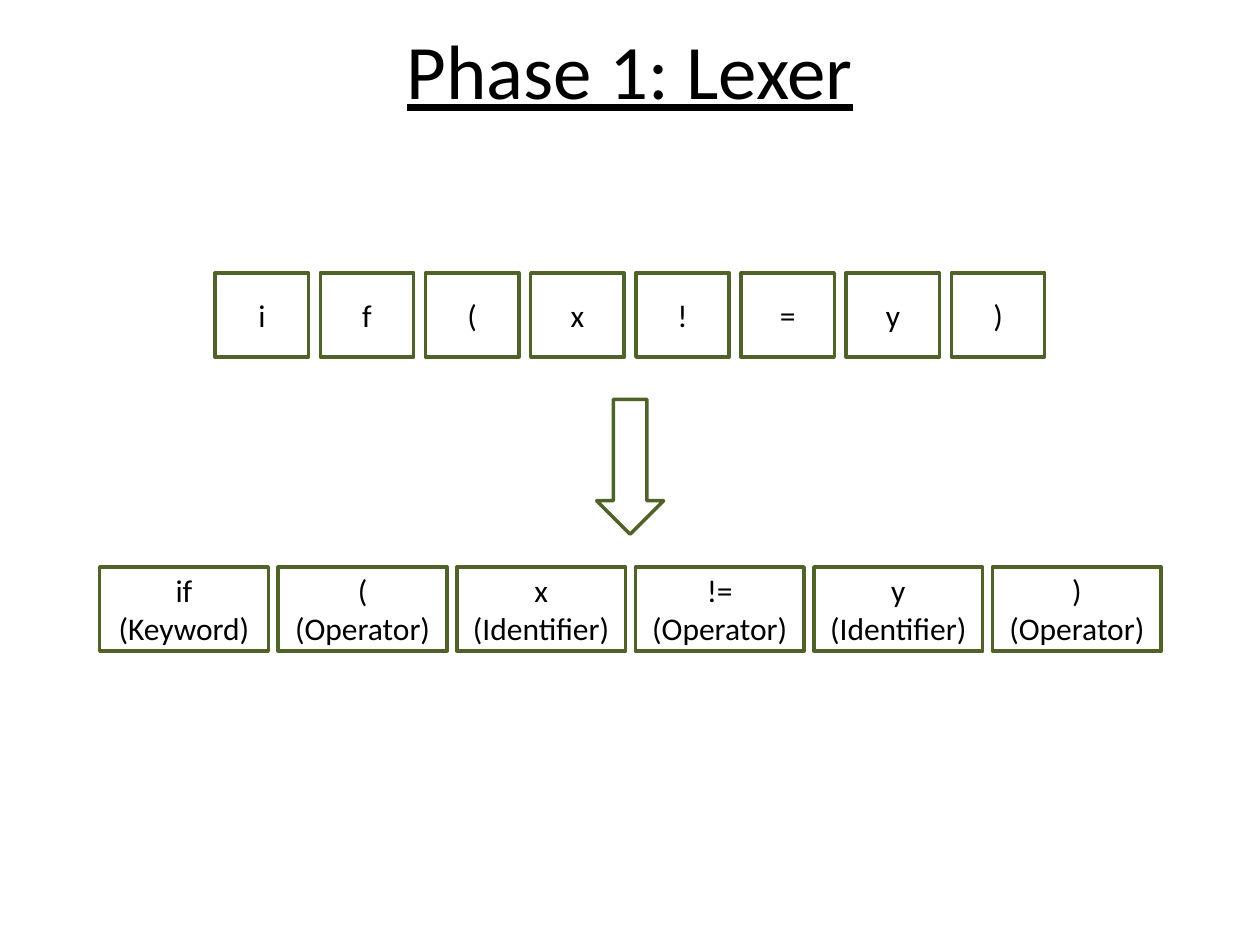
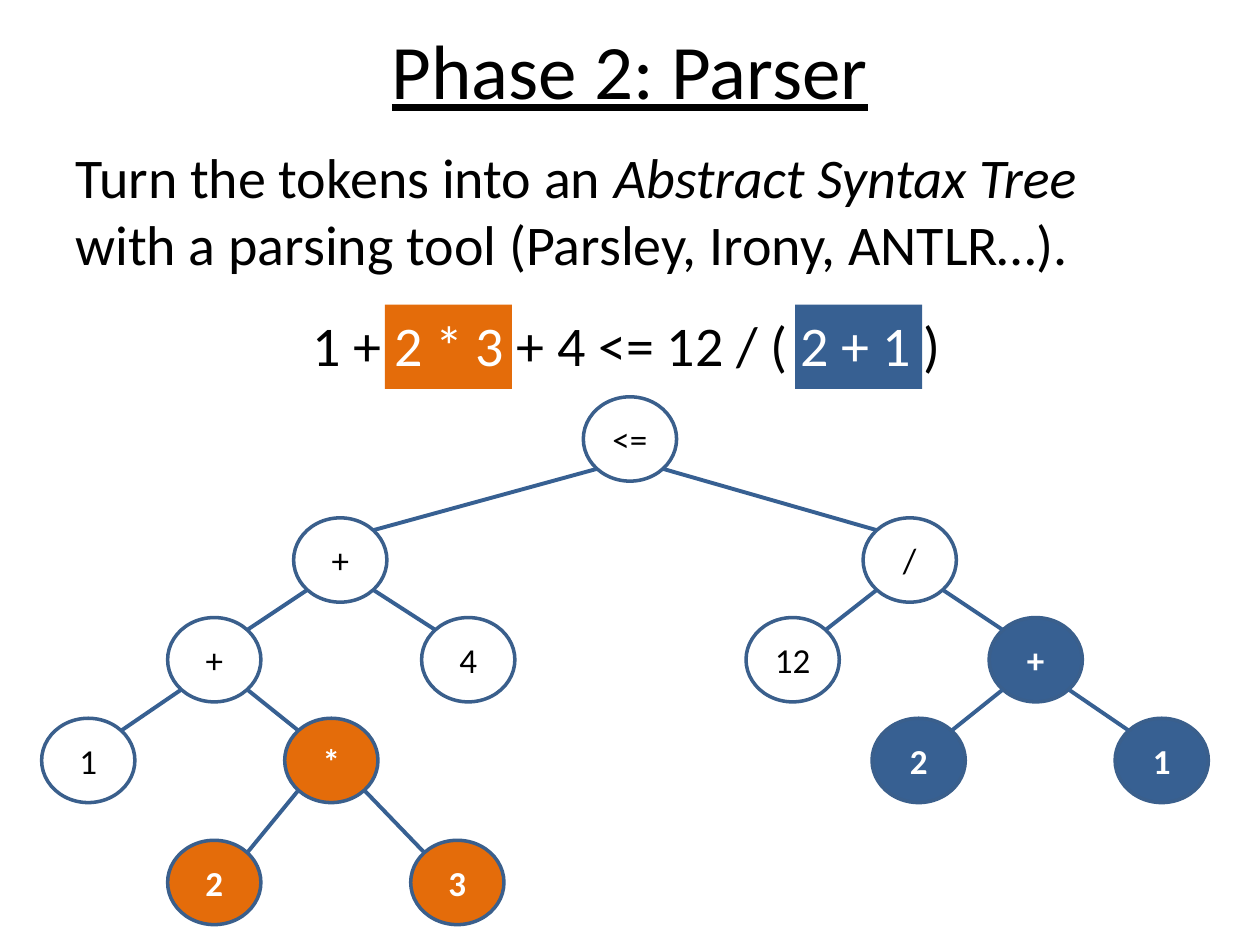
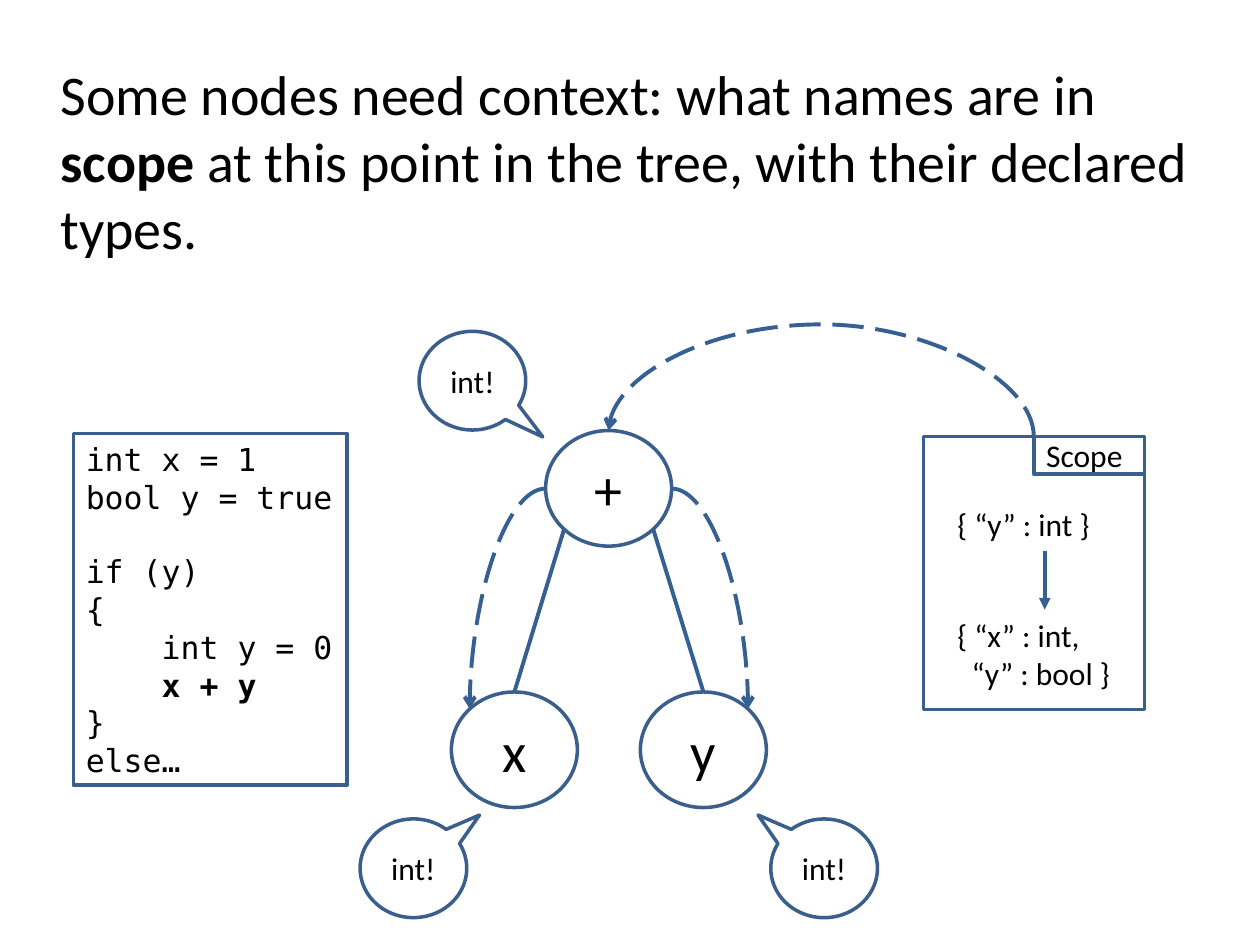
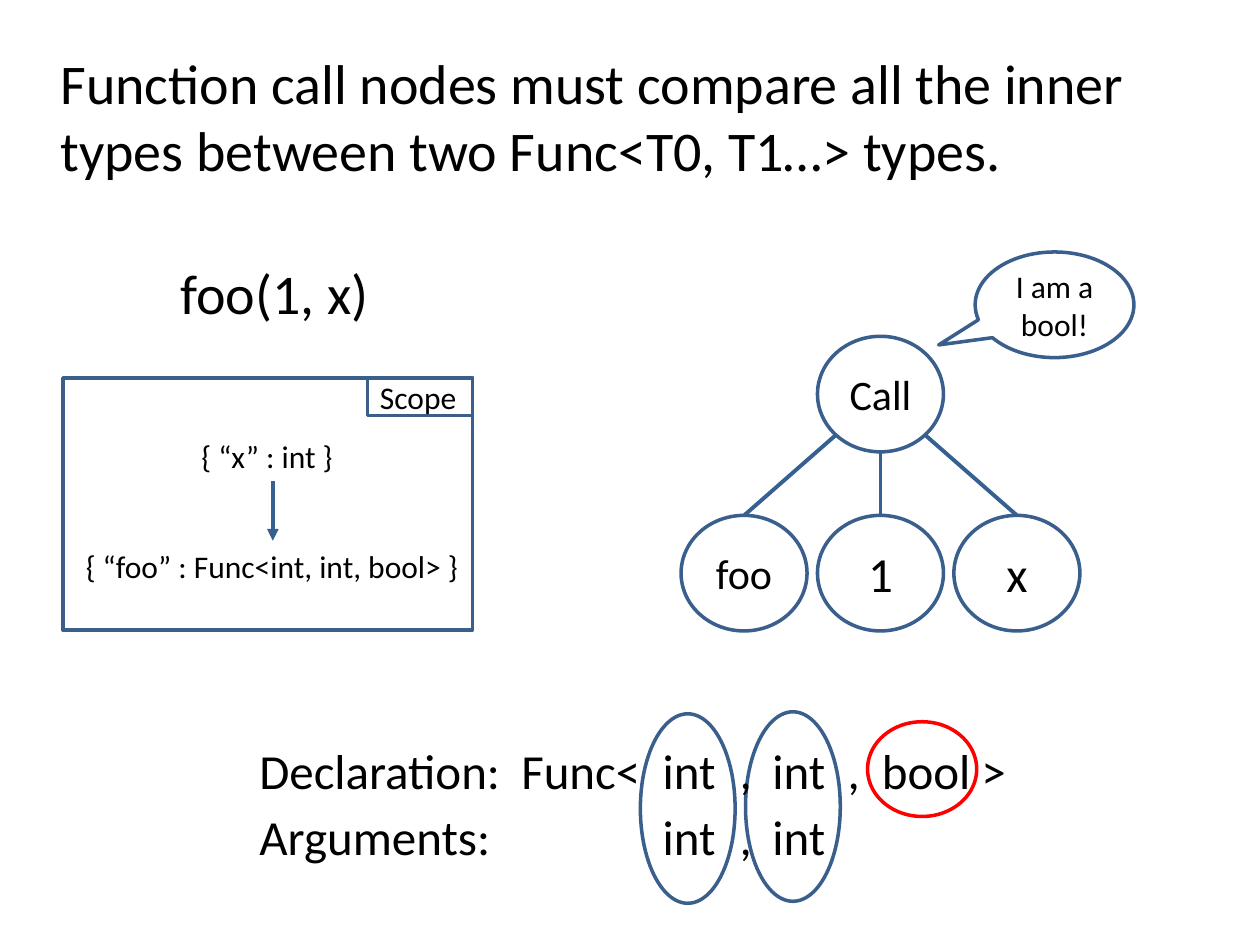
from lxml.etree import SubElement
from pptx import Presentation
from pptx.dml.color import RGBColor
from pptx.enum.dml import MSO_LINE as Dash
from pptx.enum.shapes import MSO_CONNECTOR as Link, MSO_SHAPE as Form
from pptx.enum.text import MSO_ANCHOR as Anchor, PP_ALIGN as Align
from pptx.oxml.ns import qn
from pptx.util import Cm, Pt

BLACK, WHITE, RED = "000000", "FFFFFF", "FF0000"
GREEN, OUTLINE, BLUE, ORANGE = "4F6228", "3A5F8C", "376092", "E46C0A"
SANS, MONO = "Calibri", "DejaVu Sans Mono"
DIAGONAL = 0.3536  # offset of an ellipse's 45 degree point, as a share of its size


def color(hex_text):
    """Turn a hex string into a colour."""
    return RGBColor.from_string(hex_text)


class SlideWriter:
    """Hold the shared style and the slide being drawn."""

    def __init__(self):
        """Start an empty 4:3 deck."""
        self.deck = Presentation()
        self.deck.slide_width, self.deck.slide_height = Cm(25.4), Cm(19.05)
        self.page = None

    def new_page(self, title=None):
        """Add a blank slide, with an underlined title if one is given."""
        self.page = self.deck.slides.add_slide(self.deck.slide_layouts[6])
        if title:
            box = self.text(1.27, -0.2, 22.86, 3.18, [title], 44, align=Align.CENTER)
            box.text_frame.vertical_anchor = Anchor.MIDDLE
            box.text_frame.paragraphs[0].font.underline = True

    def set_lines(self, box, lines, size, ink=BLACK, align=Align.LEFT, font=SANS, bold=None):
        """Fill a shape with lines; a line is a string or a list of (text, style)."""
        frame = box.text_frame
        frame.word_wrap = True
        for number, line in enumerate(lines):
            para = frame.add_paragraph() if number else frame.paragraphs[0]
            para.alignment = align
            para.font.name, para.font.size, para.font.bold = font, Pt(size), bold
            para.font.color.rgb = color(ink)
            for words, style in [(line, {})] if isinstance(line, str) else line:
                span = para.add_run()
                span.text = words
                if "ink" in style:
                    span.font.color.rgb = color(style["ink"])
                if "bold" in style:
                    span.font.bold = style["bold"]
                if "italic" in style:
                    span.font.italic = style["italic"]

    def text(self, left, top, width, height, lines, size, align=Align.LEFT):
        """Add a plain text box."""
        box = self.page.shapes.add_textbox(Cm(left), Cm(top), Cm(width), Cm(height))
        self.set_lines(box, lines, size, align=align)
        return box

    def shape(self, form, left, top, width, height, lines=(), size=18, line=OUTLINE,
              fill=WHITE, **style):
        """Add a filled and outlined preset shape with centred text."""
        box = self.page.shapes.add_shape(form, Cm(left), Cm(top), Cm(width), Cm(height))
        box.shadow.inherit = False
        box.fill.solid()
        box.fill.fore_color.rgb = color(fill)
        if line:
            box.line.color.rgb = color(line)
            box.line.width = Pt(2)
        else:
            box.line.fill.background()
        box.text_frame.vertical_anchor = Anchor.MIDDLE
        style.setdefault("align", Align.CENTER)
        self.set_lines(box, lines, size, **style)
        return box

    def row(self, left, top, width, pitch, cells):
        """Add a row of equal green boxes."""
        for number, lines in enumerate(cells):
            self.shape(Form.RECTANGLE, left + number * pitch, top, width, 1.7, lines, line=GREEN)

    def callout(self, left, top, width, height, words, tip):
        """Add a speech bubble; tip is relative to its centre."""
        box = self.shape(Form.OVAL_CALLOUT, left, top, width, height, [words])
        box.adjustments[0], box.adjustments[1] = tip

    def connect(self, start, end, kind=Link.STRAIGHT, head=None, dashed=False):
        """Add a connector between two points, with an optional arrowhead."""
        wire = self.page.shapes.add_connector(kind, *(Cm(value) for value in (*start, *end)))
        wire.line.color.rgb = color(BLUE)
        wire.line.width = Pt(2.25)
        if dashed:
            wire.line.dash_style = Dash.LONG_DASH
        if head:
            SubElement(wire.get_or_add_ln(), qn("a:tailEnd"), type=head)
        SubElement(wire._element.spPr, qn("a:effectLst"))
        return wire

    def bend(self, start, end):
        """Add a dashed quarter curve that leaves sideways and arrives downwards."""
        wire = self.connect(start, end, Link.CURVE, "arrow", True)
        wire._element.spPr.find(qn("a:prstGeom")).set("prst", "curvedConnector2")

    def arch(self, start, end, rise):
        """Add a dashed curve that climbs by rise and comes down at the left."""
        middle_x, middle_y = (start[0] + end[0]) / 2, (start[1] + end[1]) / 2
        depth, span = start[1] - end[1], start[0] - end[0]
        wire = self.connect((middle_x - depth / 2, middle_y + span / 2),
                            (middle_x + depth / 2, middle_y - span / 2),
                            Link.CURVE, "arrow", True)
        properties = wire._element.spPr
        properties.find(qn("a:xfrm")).set("rot", str(270 * 60000))
        guides = properties.find(qn("a:prstGeom")).get_or_add_avLst()
        SubElement(guides, qn("a:gd"), name="adj1", fmla=f"val {round(rise / depth * 100000)}")

    def tree(self, node, tops, parent=None):
        """Draw a syntax tree; a node is (text, left, fill, children)."""
        words, left, fill, children = node
        width, height = 1.88, 1.7
        plain = fill == WHITE
        self.shape(Form.OVAL, left, tops[0], width, height, [words], 20, fill=fill,
                   ink=BLACK if plain else WHITE, bold=not plain)
        center = left + width / 2, tops[0] + height / 2
        if parent:
            side = DIAGONAL * width * (1 if center[0] > parent[0] else -1)
            drop = DIAGONAL * height
            self.connect((parent[0] + side, parent[1] + drop), (center[0] - side, center[1] - drop))
        for child in children:
            self.tree(child, tops[1:], center)

    def big_node(self, left, top, words, size):
        """Add a large tree node."""
        self.shape(Form.OVAL, left, top, 2.54, 2.33, [words], size)

    def branches(self, parent, children):
        """Join a large node to the tops of the large nodes below it."""
        width, height = 2.54, 2.33
        for left, top in children:
            side = (left > parent[0]) - (left < parent[0])
            drop = DIAGONAL if side else 0.5
            self.connect((parent[0] + width * (0.5 + side * DIAGONAL),
                          parent[1] + height * (0.5 + drop)), (left + width / 2, top))

    def scope(self, left, top, width, height, tab_width):
        """Add a scope frame with its name in the top right corner."""
        self.shape(Form.RECTANGLE, left, top, width, height)
        self.shape(Form.RECTANGLE, left + width - tab_width, top, tab_width, 0.76, ["Scope"],
                   align=Align.LEFT)

    def indent(self, box, number, margin):
        """Indent one paragraph of a box."""
        box.text_frame.paragraphs[number]._p.get_or_add_pPr().set("marL", str(Cm(margin)))

    def columns(self, box, stops):
        """Set the tab stops of a box's first paragraph."""
        properties = box.text_frame.paragraphs[0]._p.get_or_add_pPr()
        tabs = properties.makeelement(qn("a:tabLst"), {})
        for stop in stops:
            SubElement(tabs, qn("a:tab"), pos=str(Cm(stop)), algn="l")
        properties.find(qn("a:defRPr")).addprevious(tabs)


def lexer_page(deck):
    """Draw characters becoming tokens."""
    deck.new_page("Phase 1: Lexer")
    deck.row(4.34, 5.5, 1.88, 2.12, [[sign] for sign in "if(x!=y)"])
    tokens = [("if", "Keyword"), ("(", "Operator"), ("x", "Identifier"),
              ("!=", "Operator"), ("y", "Identifier"), (")", "Operator")]
    deck.row(2.01, 11.43, 3.4, 3.6, [[token, f"({kind})"] for token, kind in tokens])
    deck.shape(Form.DOWN_ARROW, 12.03, 8.05, 1.35, 2.72, line=GREEN)


def parser_page(deck):
    """Draw an expression and its syntax tree."""
    deck.new_page("Phase 2: Parser")
    for left, fill in ((16.03, BLUE), (7.76, ORANGE)):
        deck.shape(Form.RECTANGLE, left, 6.14, 2.56, 1.7, fill=fill, line=None)
    deck.text(1.27, 2.75, 22.86, 3.18, [[
        ("Turn the tokens into an ", {}), ("Abstract Syntax Tree", {"italic": True}),
        (" with a parsing tool (Parsley, Irony, ANTLR…).", {})]], 32)
    light = {"ink": WHITE}
    deck.text(6.05, 6.14, 13.34, 1.62, [[
        ("1 + ", {}), ("2 * 3 ", light), ("+ 4 <= 12 / ( ", {}), ("2 + 1 ", light), (")", {})]], 32)
    product = ("*", 5.74, ORANGE, [("2", 3.38, ORANGE, []), ("3", 8.28, ORANGE, [])])
    inner_sum = ("+", 3.38, WHITE, [("1", 0.84, WHITE, []), product])
    left_sum = ("+", 5.92, WHITE, [inner_sum, ("4", 8.5, WHITE, [])])
    right_sum = ("+", 19.94, BLUE, [("2", 17.58, BLUE, []), ("1", 22.48, BLUE, [])])
    quotient = ("/", 17.4, WHITE, [("12", 15.04, WHITE, []), right_sum])
    deck.tree(("<=", 11.76, WHITE, [left_sum, quotient]), (8, 10.44, 12.45, 14.48, 16.94))


def scope_page(deck):
    """Draw how names in scope reach the nodes."""
    deck.new_page()
    deck.text(0.97, 1.07, 23.5, 4.37, [[
        ("Some nodes need context: what names are in ", {}), ("scope", {"bold": True}),
        (" at this point in the tree, with their declared types.", {})]], 32)
    code = ["int x = 1", "bool y = true", "if (y)", "{", "int y = 0",
            [("x + y", {"bold": True})], "}", "else…"]
    listing = deck.shape(Form.RECTANGLE, 1.48, 8.74, 5.52, 7.09, code, align=Align.LEFT, font=MONO)
    listing.text_frame.paragraphs[2].space_before = Pt(21)
    for number in (4, 5):
        deck.indent(listing, number, 1.53)

    deck.scope(18.62, 8.8, 4.45, 5.5, 2.23)
    deck.text(19.05, 10.06, 4.01, 1.02, ["{ “y” : int }"], 18)
    outer = deck.text(19.05, 12.29, 4.01, 1.8, ["{ “x” : int,", "“y” : bool }"], 18)
    deck.indent(outer, 1, 0.29)
    deck.connect((21.06, 11.1), (21.06, 12.29), head="triangle")

    root, leaves = (11, 8.68), [(9.1, 13.95), (12.91, 13.95)]
    deck.big_node(*root, "+", 32)
    for place, name in zip(leaves, "xy"):
        deck.big_node(*place, name, 32)
    deck.branches(root, leaves)
    deck.arch((20.84, 8.8), (12.27, 8.68), 2.26)
    deck.bend((11, 9.85), (9.47, 14.29))
    deck.bend((13.54, 9.85), (15.08, 14.29))
    for left, top, tip in ((7.26, 16.51, (0.62, -0.54)), (15.54, 16.51, (-0.62, -0.54)),
                           (8.45, 6.68, (0.66, 0.57))):
        deck.callout(left, top, 2.15, 1.99, "int!", tip)


def call_page(deck):
    """Draw how a function call is checked."""
    deck.new_page()
    for left, top, width, height, line in ((17.49, 14.55, 2.2, 1.91, RED),
                                           (15.03, 14.35, 1.91, 3.82, OUTLINE),
                                           (12.91, 14.39, 1.91, 3.82, OUTLINE)):
        deck.shape(Form.OVAL, left, top, width, height, line=line)
    deck.text(3.39, 5.08, 4.45, 1.7, ["foo(1, x)"], 32)
    deck.text(0.97, 0.85, 23.5, 3, [
        "Function call nodes must compare all the inner types between two Func<T0, T1…> types."], 32)

    deck.scope(1.27, 7.62, 8.26, 5.08, 2.12)
    deck.text(3.81, 8.69, 4.01, 1.02, ["{ “x” : int }"], 18)
    deck.text(1.48, 10.9, 8.2, 1.02, ["{ “foo” : Func<int, int, bool> }"], 18)
    deck.connect((5.5, 9.7), (5.5, 10.9), head="triangle")

    stops = (5.28, 8.13, 9.68, 10.34, 11.86, 12.55)
    declaration = deck.text(4.98, 14.81, 15.77, 1.45,
                            ["Declaration:\tFunc<\tint\t,\tint\t,\tbool >"], 28)
    deck.columns(declaration, stops)
    arguments = deck.text(4.98, 16.13, 13.64, 1.45, ["Arguments:\tint\t,\tint"], 28)
    deck.columns(arguments, stops[1:4])

    deck.callout(19.66, 5.08, 3.2, 2.13, "I am a bool!", (-0.73, 0.38))
    root = (16.48, 6.78)
    children = [(root[0] + step * 2.75, 10.39) for step in (-1, 0, 1)]
    deck.big_node(*root, "Call", 24)
    for place, name, size in zip(children, ("foo", "1", "x"), (24, 28, 28)):
        deck.big_node(*place, name, size)
    deck.branches(root, children)


def main():
    """Build the deck and save it."""
    writer = SlideWriter()
    for draw in (lexer_page, parser_page, scope_page, call_page):
        draw(writer)
    writer.deck.save("out.pptx")


main()
